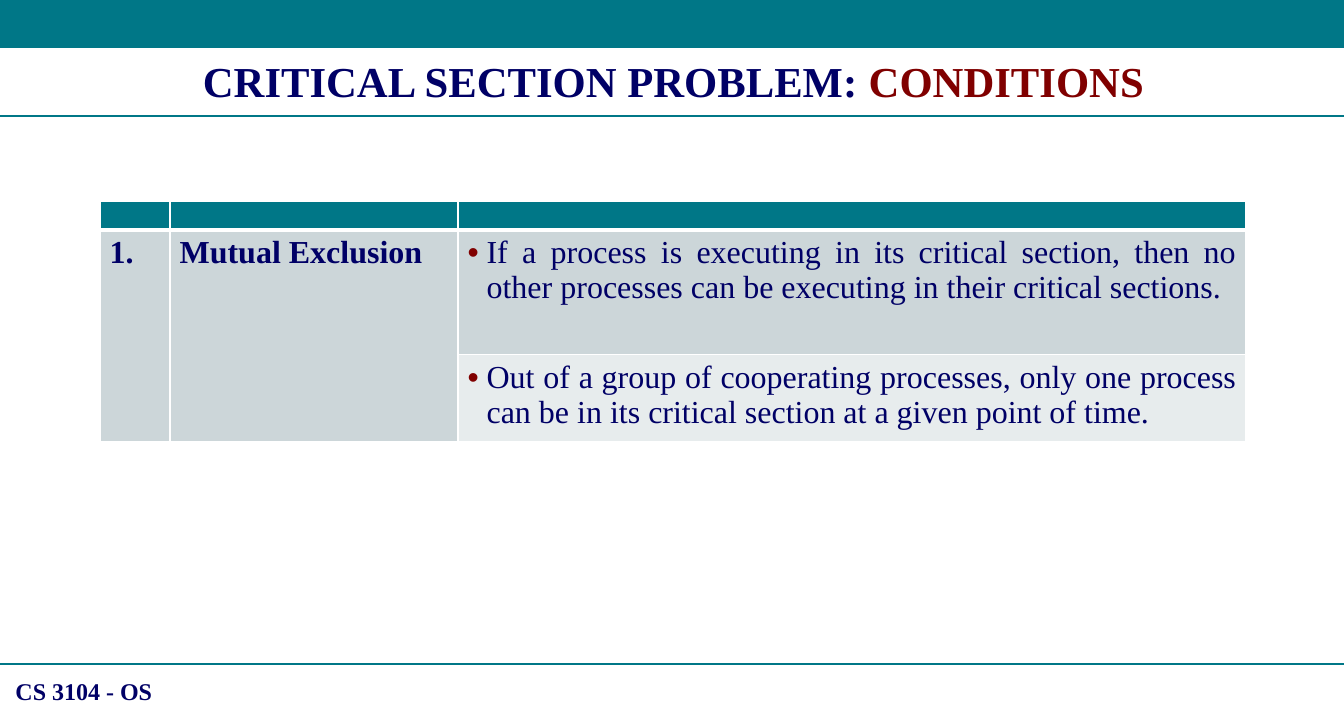
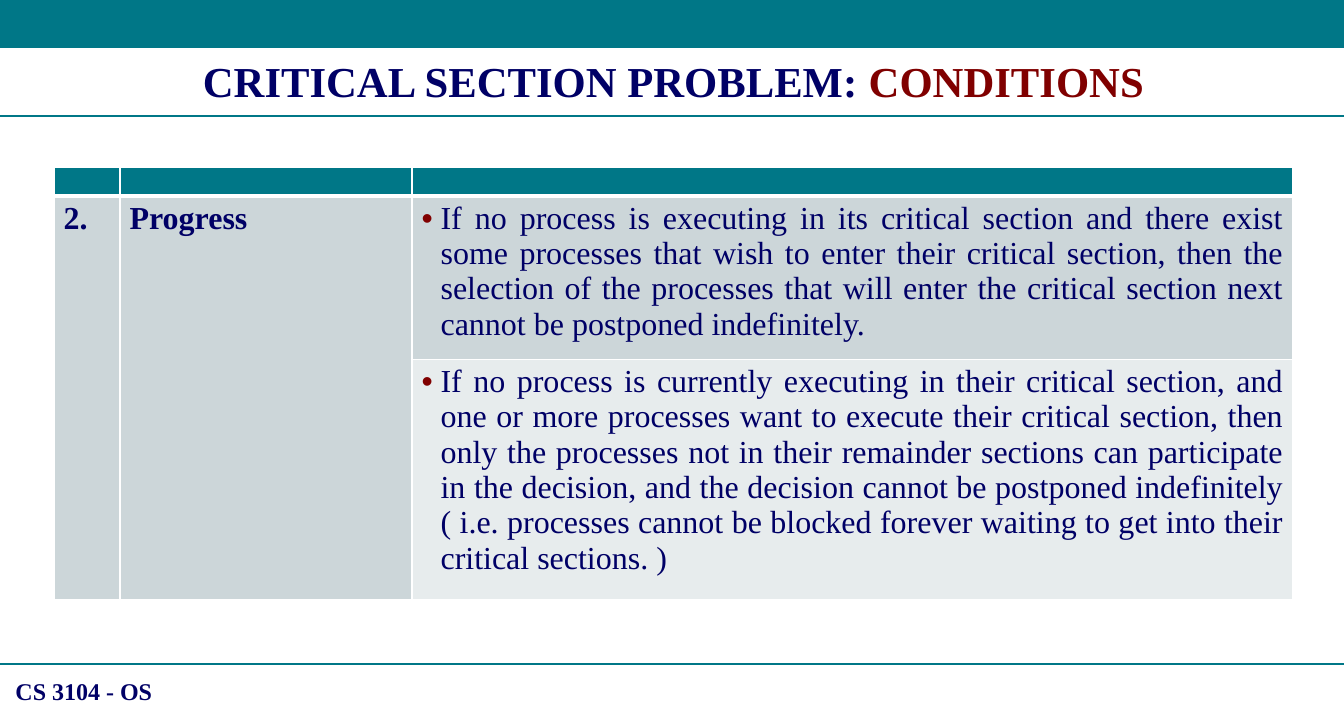
from lxml import etree
from pptx import Presentation
from pptx.dml.color import RGBColor
from pptx.enum.shapes import MSO_CONNECTOR, MSO_SHAPE
from pptx.enum.text import MSO_ANCHOR, PP_ALIGN
from pptx.oxml.ns import qn
from pptx.util import Pt

PX = 9525  # EMU per px
WIDTH, HEIGHT = 1344, 720

TEAL = RGBColor(0x00, 0x77, 0x87)
NAVY = RGBColor(0x00, 0x00, 0x66)
MAROON = RGBColor(0x80, 0x00, 0x00)
WHITE = RGBColor(0xFF, 0xFF, 0xFF)
ROW_DARK = RGBColor(0xCC, 0xD6, 0xD9)
ROW_LIGHT = RGBColor(0xE7, 0xEC, 0xED)

RECTANGLE = MSO_SHAPE.RECTANGLE
STRAIGHT = MSO_CONNECTOR.STRAIGHT
LEFT, CENTER, JUSTIFY = PP_ALIGN.LEFT, PP_ALIGN.CENTER, PP_ALIGN.JUSTIFY
MIDDLE = MSO_ANCHOR.MIDDLE

FONT = "Times New Roman"
TITLE_SIZE, FOOTER_SIZE, CELL_SIZE, HEADER_SIZE = 32, 18, 24, 12
THIN, THICK = 1, 3
BULLET_INDENT = 19

TITLE = [("CRITICAL SECTION PROBLEM: ", NAVY), ("CONDITIONS", MAROON)]
FOOTER = "CS 3104 - OS"

CONDITIONS = [
    {
        "number": "1.",
        "name": "Mutual Exclusion",
        "points": [
            "If a process is executing in its critical section, then no other "
            "processes can be executing in their critical sections.",
            "Out of a group of cooperating processes, only one process can be "
            "in its critical section at a given point of time.",
        ],
        "corner": (100, 201),
        "columns": [70, 288, 788],
        "rows": [28, 125, 86],
    },
    {
        "number": "2.",
        "name": "Progress",
        "points": [
            "If no process is executing in its critical section and there exist "
            "some processes that wish to enter their critical section, then the "
            "selection of the processes that will enter the critical section "
            "next cannot be postponed indefinitely.",
            "If no process is currently executing in their critical section, and "
            "one or more processes want to execute their critical section, then "
            "only the processes not in their remainder sections can participate "
            "in the decision, and the decision cannot be postponed indefinitely "
            "( i.e. processes cannot be blocked forever waiting to get into "
            "their critical sections. )",
        ],
        "corner": (54, 167),
        "columns": [66, 292, 881],
        "rows": [28, 163, 240],
    },
]


def scale(*lengths):
    return [length * PX for length in lengths]


class Lecture:
    """The deck, its shared style and the page being drawn."""

    def __init__(self):
        self.deck = Presentation()
        self.deck.slide_width, self.deck.slide_height = scale(WIDTH, HEIGHT)
        self.page = None

    def new_page(self):
        self.page = self.deck.slides.add_slide(self.deck.slide_layouts[6])
        self.band(0, 0, WIDTH, 48)
        self.rule(664)
        self.band(0, 115, WIDTH, 2)
        self.text(6, 672, 173, 38, [(FOOTER, NAVY)], FOOTER_SIZE, LEFT)
        self.text(12, 50, 1323, 61, TITLE, TITLE_SIZE, CENTER)

    def band(self, *place):
        band = self.page.shapes.add_shape(RECTANGLE, *scale(*place))
        band.shadow.inherit = False
        band.fill.solid()
        band.fill.fore_color.rgb = TEAL
        band.line.fill.background()

    def rule(self, top):
        rule = self.page.shapes.add_connector(STRAIGHT, *scale(0, top, WIDTH, top))
        rule.line.color.rgb = TEAL
        rule.line.width = Pt(1)
        etree.SubElement(rule._element.spPr, qn("a:effectLst"))

    def text(self, left, top, width, height, spans, size, align):
        box = self.page.shapes.add_textbox(*scale(left, top, width, height))
        box.text_frame.word_wrap = True
        box.text_frame.vertical_anchor = MIDDLE
        para = box.text_frame.paragraphs[0]
        para.alignment = align
        for words, color in spans:
            self.span(para, words, size, color)

    def span(self, para, words, size, color=NAVY, bold=True):
        span = para.add_run()
        span.text = words
        span.font.color.rgb = color
        formats = {"name": FONT, "size": Pt(size), "bold": bold}
        for name, value in formats.items():
            setattr(span.font, name, value)

    def bullet(self, para):
        para.alignment = JUSTIFY
        properties = para._p.get_or_add_pPr()
        indent = BULLET_INDENT * PX
        properties.set("marL", str(indent))
        properties.set("indent", str(-indent))
        color = etree.SubElement(properties, qn("a:buClr"))
        etree.SubElement(color, qn("a:srgbClr"), val=str(MAROON))
        etree.SubElement(properties, qn("a:buFont"), typeface="Arial")
        etree.SubElement(properties, qn("a:buChar"), char="•")

    def paint(self, cell, color, top=THIN, bottom=THIN):
        """Give a cell its white borders, then its fill."""
        properties = cell._tc.get_or_add_tcPr()
        borders = {"lnL": THIN, "lnR": THIN, "lnT": top, "lnB": bottom}
        for side, points in borders.items():
            border = etree.SubElement(properties, qn("a:" + side), w=str(Pt(points)))
            fill = etree.SubElement(border, qn("a:solidFill"))
            etree.SubElement(fill, qn("a:srgbClr"), val=str(WHITE))
        cell.fill.solid()
        cell.fill.fore_color.rgb = color

    def condition_table(self, number, name, points, corner, columns, rows):
        place = scale(*corner, sum(columns), sum(rows))
        table = self.page.shapes.add_table(len(rows), len(columns), *place).table
        for column, width in zip(table.columns, scale(*columns)):
            column.width = width
        for row, height in zip(table.rows, scale(*rows)):
            row.height = height

        for column in range(len(columns)):
            header = table.cell(0, column)
            self.paint(header, TEAL, bottom=THICK)
            etree.SubElement(header.text_frame.paragraphs[0]._p,
                             qn("a:endParaRPr"), sz=str(HEADER_SIZE * 100))
            self.paint(table.cell(1, column), ROW_DARK, top=THICK)
            self.paint(table.cell(2, column), ROW_LIGHT)

        for column, words in enumerate((number, name)):
            label = table.cell(1, column)
            label.merge(table.cell(2, column))
            self.span(label.text_frame.paragraphs[0], words, CELL_SIZE)

        for row, words in enumerate(points, start=1):
            para = table.cell(row, 2).text_frame.paragraphs[0]
            self.bullet(para)
            self.span(para, words, CELL_SIZE, bold=False)


def main():
    lecture = Lecture()
    for condition in CONDITIONS:
        lecture.new_page()
        lecture.condition_table(**condition)
    lecture.deck.save("out.pptx")


if __name__ == "__main__":
    main()
